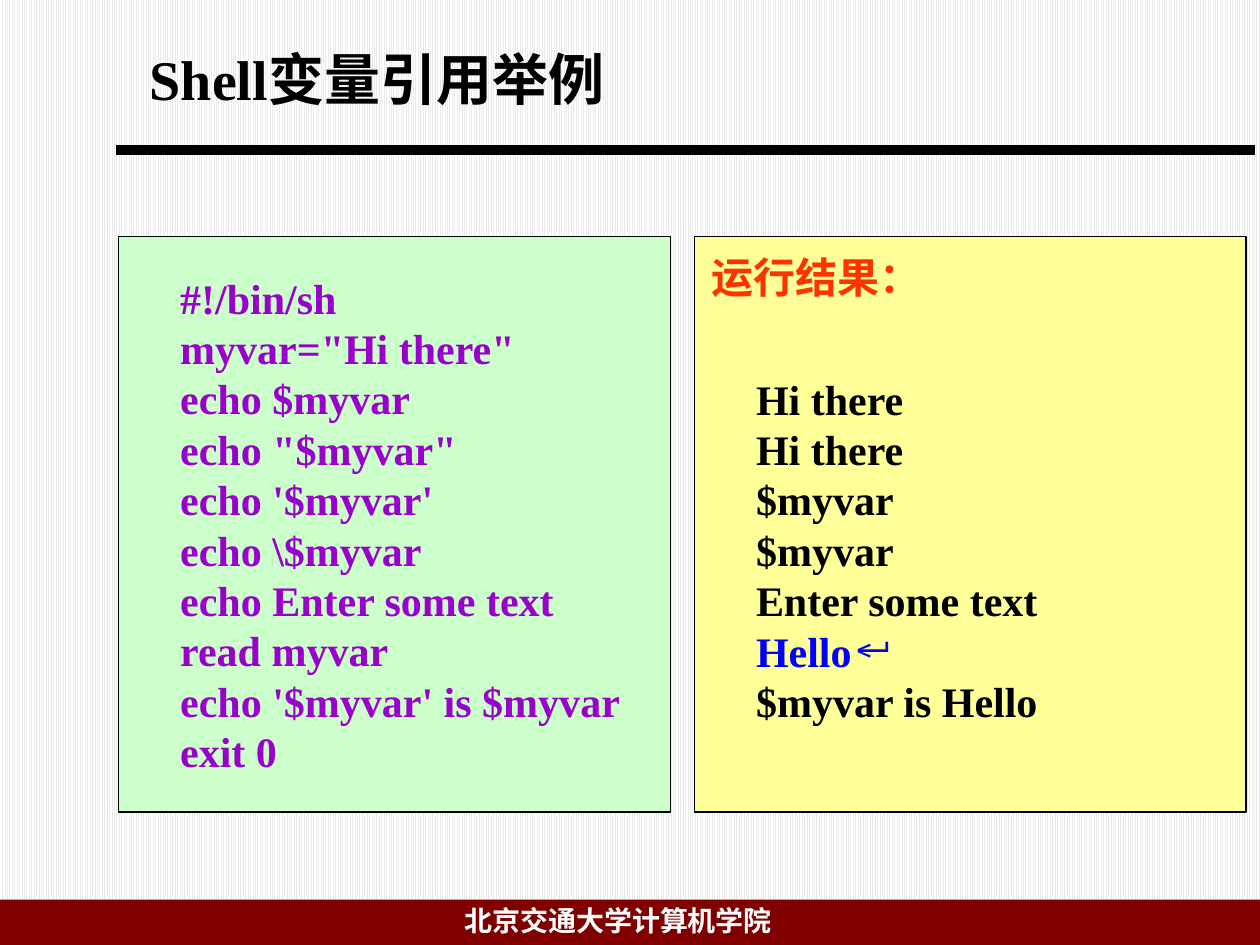
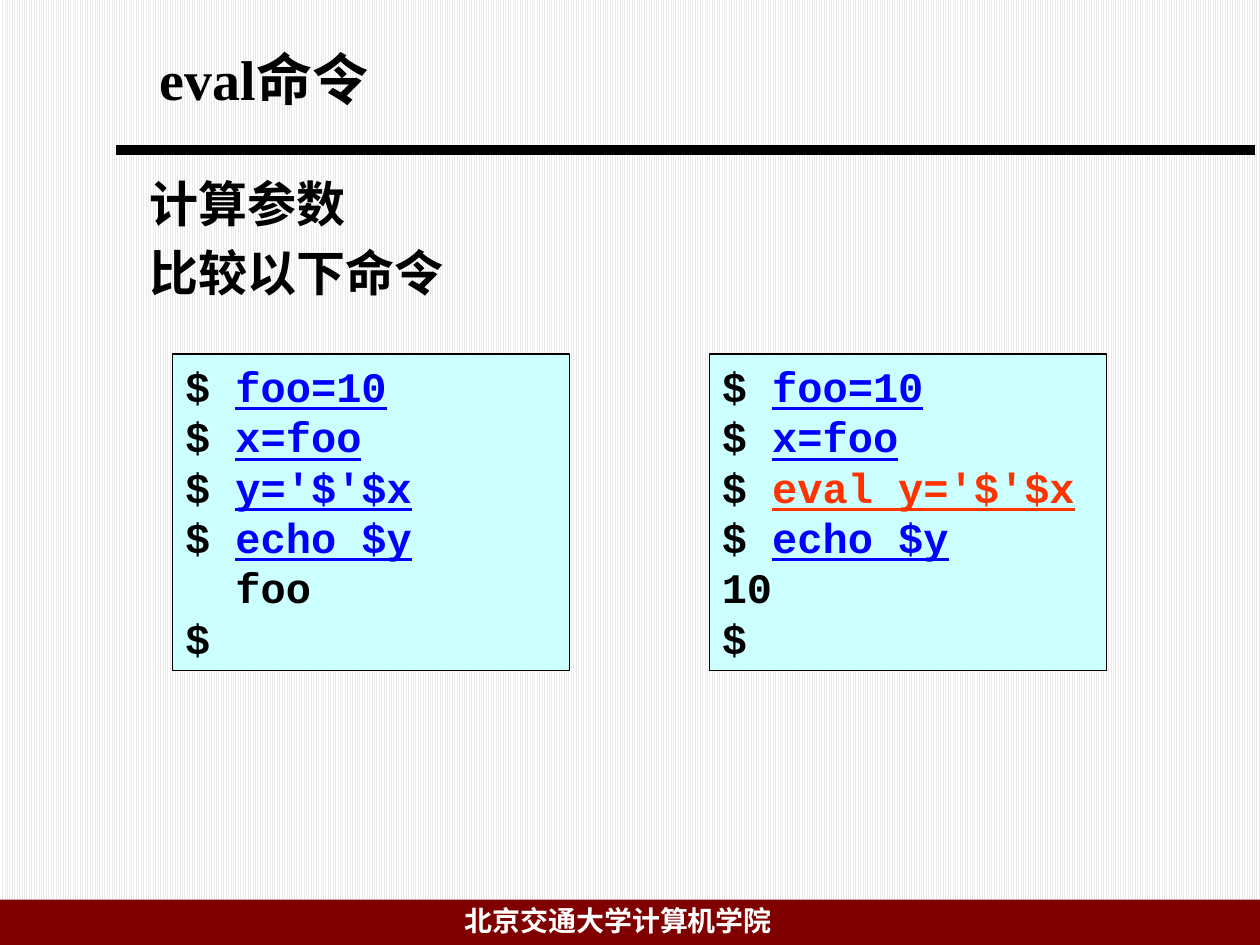
from dataclasses import dataclass
from typing import NamedTuple

from lxml.etree import SubElement
from pptx import Presentation
from pptx.dml.color import RGBColor
from pptx.enum.dml import MSO_PATTERN
from pptx.enum.shapes import MSO_CONNECTOR, MSO_SHAPE
from pptx.enum.text import MSO_ANCHOR as Anchor, PP_ALIGN as Align
from pptx.oxml.ns import qn
from pptx.util import Inches, Length, Pt

COLUMNS, ROWS = 100, 75
SLIDE_WIDTH, SLIDE_HEIGHT = Inches(10), Inches(7.5)


@dataclass(frozen=True)
class Theme:
    black: str = "000000"
    white: str = "FFFFFF"
    stripe: str = "EAEAEA"
    band: str = "800000"
    script: str = "9900CC"
    typed: str = "0000FF"
    accent: str = "FF3300"
    green: str = "CCFFCC"
    yellow: str = "FFFF99"
    cyan: str = "CCFFFF"
    serif: str = "Times New Roman"
    chinese: str = "Noto Sans CJK SC"
    mono: str = "Courier New"
    title_size: int = 32
    body_size: int = 28
    panel_size: int = 24
    footer_size: int = 16
    line_pitch: float = 1.2
    body_gap: float = 0.2


THEME = Theme()


class Box(NamedTuple):
    """A place on the grid, in columns and rows."""
    left: float
    top: float
    width: float
    height: float

    def lengths(self) -> tuple[Length, ...]:
        return (across(self.left), down(self.top),
                across(self.width), down(self.height))


class Run(NamedTuple):
    text: str
    color: str = THEME.black
    underline: bool = False


Line = list[Run]


class Panel(NamedTuple):
    box: Box
    fill: str
    lines: list[Line]
    font: str = THEME.serif
    anchor: Anchor = Anchor.TOP
    indent: float = 0
    drop: float = 0


def across(columns: float) -> Length:
    return Length(round(SLIDE_WIDTH * columns / COLUMNS))


def down(rows: float) -> Length:
    return Length(round(SLIDE_HEIGHT * rows / ROWS))


def plain_lines(text: str, color: str = THEME.black) -> list[Line]:
    return [[Run(line, color)] for line in text.splitlines()]


def prompt(command: str, color: str = THEME.typed) -> Line:
    return [Run("$ "), Run(command, color, underline=True)]


def write_text(shape, lines: list[Line], *, size: float, font: str = THEME.serif,
               anchor: Anchor = Anchor.TOP, indent: float = 0,
               drop: float = 0, gap: float = 0) -> None:
    """Indent is in columns, drop in rows, gap in shares of the type size."""
    frame = shape.text_frame
    frame.word_wrap = True
    frame.vertical_anchor = anchor
    frame.margin_left += across(indent)
    frame.margin_top += down(drop)
    for index, line in enumerate(lines):
        paragraph = frame.add_paragraph() if index else frame.paragraphs[0]
        paragraph.alignment = Align.LEFT
        paragraph.line_spacing = Pt(size * THEME.line_pitch)
        if index and gap:
            paragraph.space_before = Pt(size * gap)
        for part in line:
            run = paragraph.add_run()
            run.text = part.text
            run.font.size = Pt(size)
            run.font.bold = True
            run.font.underline = part.underline
            run.font.color.rgb = RGBColor.from_string(part.color)
            run.font.name = font
            SubElement(run.font._element, qn("a:ea"), typeface=THEME.chinese)


def add_text(slide, box: Box, lines: list[Line], **text_format) -> None:
    write_text(slide.shapes.add_textbox(*box.lengths()), lines, **text_format)


def add_rectangle(slide, box: Box, fill: str, outlined: bool = True):
    shape = slide.shapes.add_shape(MSO_SHAPE.RECTANGLE, *box.lengths())
    shape.shadow.inherit = False
    shape.fill.solid()
    shape.fill.fore_color.rgb = RGBColor.from_string(fill)
    if outlined:
        shape.line.color.rgb = RGBColor.from_string(THEME.black)
        shape.line.width = Pt(0.75)
    else:
        shape.line.fill.background()
    return shape


def add_panel(slide, panel: Panel) -> None:
    shape = add_rectangle(slide, panel.box, panel.fill)
    write_text(shape, panel.lines, size=THEME.panel_size, font=panel.font,
               anchor=panel.anchor, indent=panel.indent, drop=panel.drop)


def add_title_rule(slide) -> None:
    rule = slide.shapes.add_connector(
        MSO_CONNECTOR.STRAIGHT, across(9.2), down(11.9), across(99.6), down(11.9))
    rule.line.color.rgb = RGBColor.from_string(THEME.black)
    rule.line.width = Pt(6)
    SubElement(rule._element.spPr, qn("a:effectLst"))


def add_base_slide(presentation, title: str, title_left: float):
    """Add a slide with the shared background, rule, footer band and title."""
    slide = presentation.slides.add_slide(presentation.slide_layouts[6])
    background = slide.background.fill
    background.patterned()
    background.pattern = MSO_PATTERN.LIGHT_VERTICAL
    background.fore_color.rgb = RGBColor.from_string(THEME.stripe)
    background.back_color.rgb = RGBColor.from_string(THEME.white)
    add_title_rule(slide)
    add_rectangle(slide, Box(0, 71.4, COLUMNS, 3.6), THEME.band, outlined=False)
    add_text(slide, Box(35.9, 71.2, 33.2, 3.7),
             plain_lines("北京交通大学计算机学院", THEME.white),
             size=THEME.footer_size)
    add_text(slide, Box(title_left, 3, 95 - title_left, 12.5),
             plain_lines(title), size=THEME.title_size)
    return slide


SCRIPT = r"""#!/bin/sh
myvar="Hi there"
echo $myvar
echo "$myvar"
echo '$myvar'
echo \$myvar
echo Enter some text
read myvar
echo '$myvar' is $myvar
exit 0"""

OUTPUT = """Hi there
Hi there
$myvar
$myvar
Enter some text"""


def add_variable_slide(presentation) -> None:
    slide = add_base_slide(presentation, "Shell变量引用举例", 10.9)
    output_lines = [*plain_lines(OUTPUT), [Run("Hello↵", THEME.typed)],
                    [Run("$myvar is Hello")]]
    add_panel(slide, Panel(Box(9.4, 18.75, 43.8, 45.7), THEME.green,
                           plain_lines(SCRIPT, THEME.script),
                           anchor=Anchor.MIDDLE, indent=3.9))
    # The output starts one text line lower, below its heading
    add_panel(slide, Panel(Box(55.1, 18.75, 43.8, 45.7), THEME.yellow,
                           output_lines, anchor=Anchor.MIDDLE, indent=3.9, drop=4))
    add_text(slide, Box(55.5, 19.5, 18, 5),
             plain_lines("运行结果：", THEME.accent), size=THEME.panel_size)


def add_eval_slide(presentation) -> None:
    slide = add_base_slide(presentation, "eval命令", 11.7)
    add_text(slide, Box(10.9, 13.3, 83.3, 49.5),
             plain_lines("计算参数\n比较以下命令"), size=THEME.body_size,
             font=THEME.chinese, gap=THEME.body_gap)
    sessions = [
        (13.7, prompt("y='$'$x"), "  foo"),
        (56.3, prompt("eval y='$'$x", THEME.accent), "10"),
    ]
    for left, assignment, result in sessions:
        lines = [prompt("foo=10"), prompt("x=foo"), assignment,
                 prompt("echo $y"), [Run(result)], [Run("$")]]
        add_panel(slide, Panel(Box(left, 28.1, 31.5, 25.1), THEME.cyan,
                               lines, font=THEME.mono))


def main() -> None:
    presentation = Presentation()
    presentation.slide_width = SLIDE_WIDTH
    presentation.slide_height = SLIDE_HEIGHT
    add_variable_slide(presentation)
    add_eval_slide(presentation)
    presentation.save("out.pptx")


if __name__ == "__main__":
    main()
